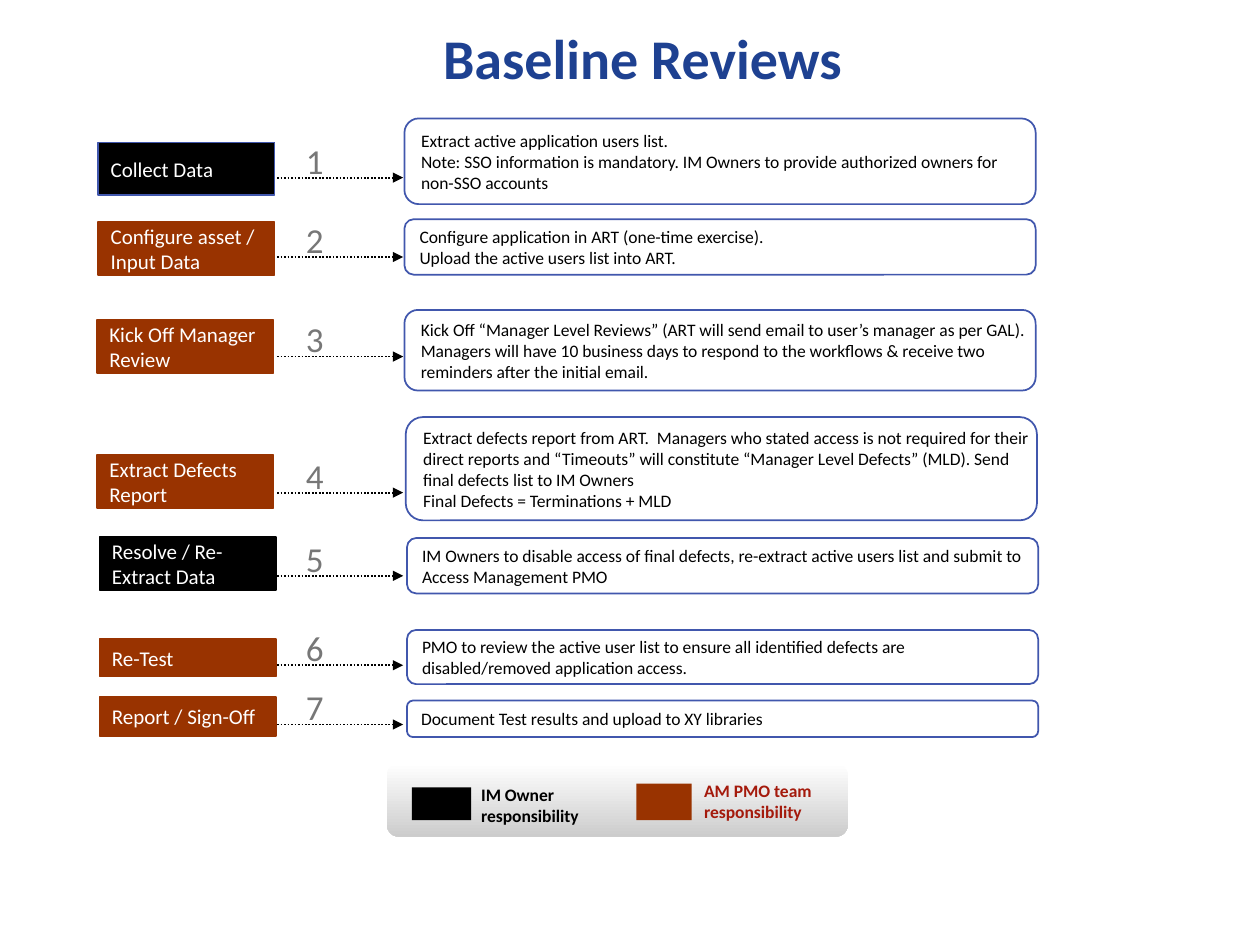
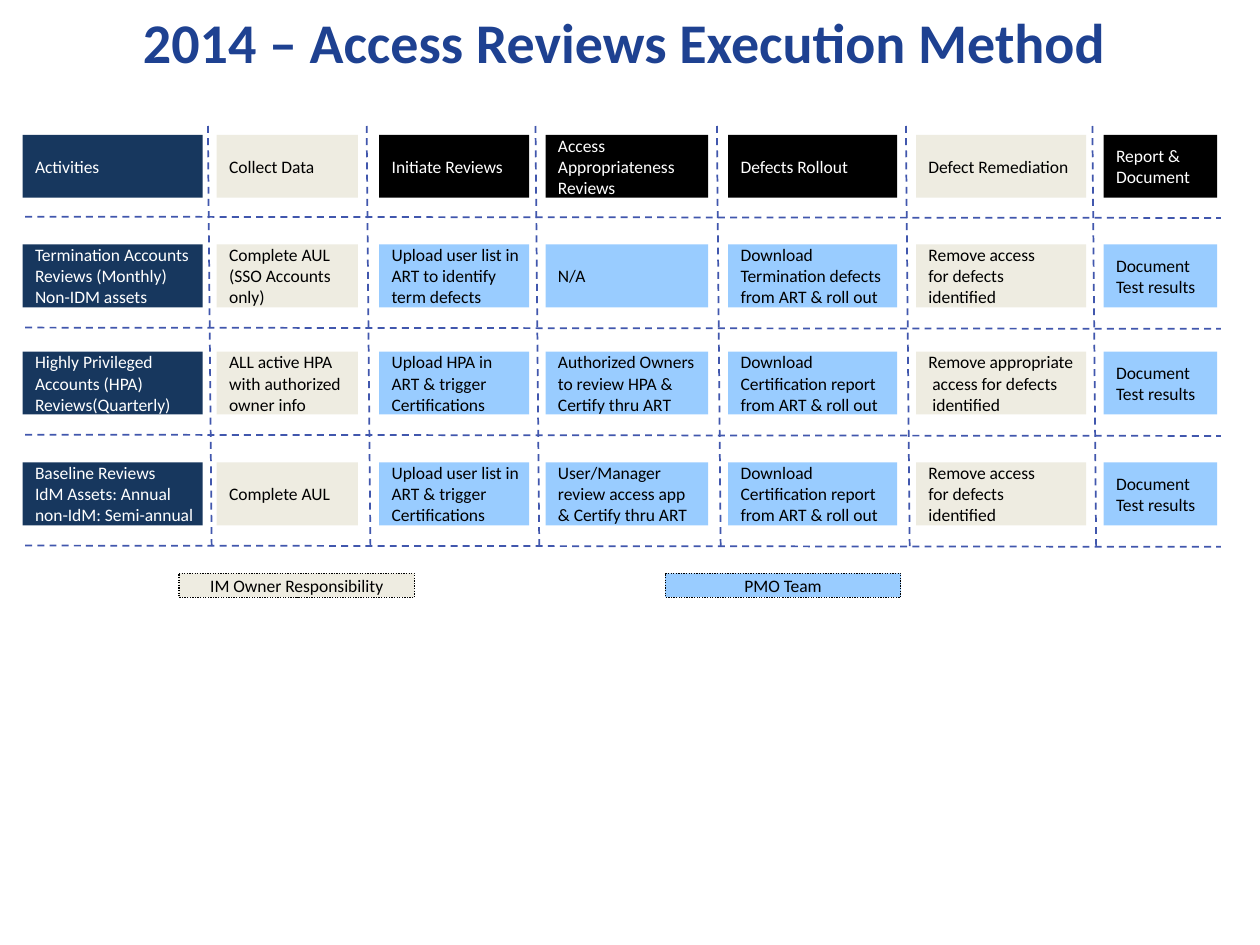
"""Build the baseline reviews flow and the access reviews matrix."""
from dataclasses import dataclass

from pptx import Presentation
from pptx.dml.color import RGBColor
from pptx.enum.dml import MSO_LINE as Dash
from pptx.enum.shapes import MSO_CONNECTOR, MSO_SHAPE as Shape
from pptx.enum.text import MSO_ANCHOR as Anchor, MSO_AUTO_SIZE, PP_ALIGN as Align
from pptx.oxml.ns import qn
from pptx.util import Inches, Pt
from lxml.etree import SubElement

FONT = "Calibri"
BLACK, WHITE, GREY = "000000", "FFFFFF", "777777"
TITLE_BLUE, LINE_BLUE, NAVY, SKY = "1E4191", "4157AD", "17375E", "99CCFF"
RUST, RED, BEIGE = "993300", "A41A0C", "EEECE1"
TIGHT = (0.1, 0, 0, 0)
ROOMY = (0.1, 0.05, 0.1, 0.05)


@dataclass
class Step:
    """One row of the review flow: label, arrow, number and note."""
    label: str
    fill: str
    left: float
    top: float
    height: float
    arrow_y: float
    note_left: float
    note_top: float
    note_height: float
    notes: list[str]
    border: str = ""


@dataclass
class Column:
    """One column of the review matrix, header first."""
    left: float
    width: float
    head_fill: str
    body_fill: str
    cells: list[str]


STEPS = [
    Step("Collect Data", BLACK, 0.78, 1.13, 0.42, 1.41, 3.21, 0.94, 0.68,
         ["Extract active application users list.",
          "Note: SSO information is mandatory. IM Owners to provide authorized "
          "owners for non-SSO accounts"], LINE_BLUE),
    Step("Configure asset / Input Data", RUST, 0.78, 1.76, 0.42, 2.04, 3.21, 1.74, 0.44,
         ["Configure application in ART (one-time exercise).",
          "Upload the active users list into ART."]),
    Step("Kick Off Manager Review", RUST, 0.77, 2.54, 0.42, 2.83, 3.21, 2.46, 0.64,
         ["Kick Off “Manager Level Reviews” (ART will send email to user’s manager "
          "as per GAL).  Managers will have 10 business days to respond to the "
          "workflows & receive two reminders after the initial email."]),
    Step("Extract Defects Report", RUST, 0.77, 3.61, 0.42, 3.91, 3.22, 3.31, 0.82,
         ["Extract defects report from ART.  Managers who stated access is not "
          "required for their direct reports and “Timeouts” will constitute "
          "“Manager Level Defects” (MLD). Send final defects list to IM Owners",
          "Final Defects = Terminations + MLD"]),
    Step("Resolve / Re-Extract Data", BLACK, 0.79, 4.26, 0.42, 4.57, 3.23, 4.27, 0.44,
         ["IM Owners to disable access of final defects, re-extract active users "
          "list and submit to Access Management PMO"]),
    Step("Re-Test", RUST, 0.79, 5.07, 0.3, 5.28, 3.23, 5, 0.43,
         ["PMO to review the active user list to ensure all identified defects "
          "are disabled/removed application access."]),
    Step("Report / Sign-Off", RUST, 0.79, 5.53, 0.31, 5.75, 3.23, 5.56, 0.29,
         ["Document Test results and upload to XY libraries"]),
]

CERTIFICATION = "Download\nCertification report\nfrom ART & roll out"
REMOVE = "Remove access\nfor defects\nidentified"
RESULTS = "Document\nTest results"
COLUMNS = [
    Column(0.18, 1.43, NAVY, NAVY, [
        "Activities",
        "Termination Accounts\nReviews (Monthly)\nNon-IDM assets",
        "Highly Privileged\nAccounts (HPA)\nReviews(Quarterly)",
        "Baseline Reviews\nIdM Assets: Annual\nnon-IdM: Semi-annual"]),
    Column(1.72, 1.12, BEIGE, BEIGE, [
        "Collect Data",
        "Complete AUL\n(SSO Accounts\nonly)",
        "ALL active HPA\nwith authorized\nowner info",
        "Complete AUL"]),
    Column(3.01, 1.19, BLACK, SKY, [
        "Initiate Reviews",
        "Upload user list in\nART to identify\nterm defects",
        "Upload HPA in\nART & trigger\nCertifications",
        "Upload user list in\nART & trigger\nCertifications"]),
    Column(4.33, 1.29, BLACK, SKY, [
        "Access\nAppropriateness\nReviews",
        "N/A",
        "Authorized Owners\nto review HPA &\nCertify thru ART",
        "User/Manager\nreview access app\n& Certify thru ART"]),
    Column(5.78, 1.34, BLACK, SKY, [
        "Defects Rollout",
        "Download\nTermination defects\nfrom ART & roll out",
        CERTIFICATION, CERTIFICATION]),
    Column(7.27, 1.35, BEIGE, BEIGE, [
        "Defect Remediation", REMOVE,
        "Remove appropriate\n access for defects\n identified", REMOVE]),
    Column(8.76, 0.9, BLACK, SKY, ["Report &\nDocument", RESULTS, RESULTS, RESULTS]),
]
ROW_TOPS = [1.07, 1.94, 2.79, 3.67]
ROW_LINES = [1.72, 2.6, 3.45, 4.33]
COLUMN_LINES = [1.65, 2.91, 4.25, 5.69, 7.19, 8.67]


def rgb(color: str) -> RGBColor:
    """Turn a hex string into a colour."""
    return RGBColor.from_string(color)


def put_text(sp, paragraphs: list[str], size: float, color: str, bold: bool = False,
             align=Align.LEFT, anchor=Anchor.MIDDLE, insets=TIGHT, wrap: bool = True) -> None:
    """Fill a shape with evenly formatted paragraphs."""
    tf = sp.text_frame
    tf.word_wrap, tf.auto_size, tf.vertical_anchor = wrap, MSO_AUTO_SIZE.NONE, anchor
    tf.margin_left, tf.margin_top, tf.margin_right, tf.margin_bottom = map(Inches, insets)
    for i, text in enumerate(paragraphs):
        p = tf.add_paragraph() if i else tf.paragraphs[0]
        p.text, p.alignment = text, align
        p.font.name, p.font.size, p.font.bold = FONT, Pt(size), bold
        p.font.color.rgb = rgb(color)


def add_box(s, kind, left: float, top: float, width: float, height: float,
            fill: str = "", line: str = "", weight: float = 1):
    """Add a flat preset shape with optional fill and outline."""
    sp = s.shapes.add_shape(kind, Inches(left), Inches(top), Inches(width), Inches(height))
    sp.shadow.inherit = False
    if fill:
        sp.fill.solid()
        sp.fill.fore_color.rgb = rgb(fill)
    else:
        sp.fill.background()
    if line:
        sp.line.color.rgb = rgb(line)
        sp.line.width = Pt(weight)
    else:
        sp.line.fill.background()
    return sp


def add_label(s, text: str, left: float, top: float, width: float, height: float,
              size: float, color: str, **style) -> None:
    """Add a text box."""
    sp = s.shapes.add_textbox(Inches(left), Inches(top), Inches(width), Inches(height))
    put_text(sp, [text], size, color, **style)


def add_line(s, x1: float, y1: float, x2: float, y2: float,
             color: str, dash, arrow: bool = False) -> None:
    """Add a dashed straight line, with an arrowhead if asked."""
    c = s.shapes.add_connector(MSO_CONNECTOR.STRAIGHT, Inches(x1), Inches(y1),
                               Inches(x2), Inches(y2))
    c.line.color.rgb, c.line.width, c.line.dash_style = rgb(color), Pt(1), dash
    sp_pr = c._element.spPr
    if arrow:
        SubElement(sp_pr.find(qn("a:ln")), qn("a:tailEnd"), type="triangle")
    SubElement(sp_pr, qn("a:effectLst"))


def new_slide(prs, title: str, left: float, top: float, width: float, height: float):
    """Add a title-only slide with the shared title style."""
    s = prs.slides.add_slide(prs.slide_layouts[5])
    sp = s.shapes.title
    sp.left, sp.top, sp.width, sp.height = map(Inches, (left, top, width, height))
    put_text(sp, [title], 32, TITLE_BLUE, bold=True, align=Align.CENTER,
             anchor=Anchor.TOP, insets=(0, 0, 0, 0))
    sp.text_frame.paragraphs[0].line_spacing = 0.9
    return s


def add_step(s, number: int, step: Step) -> None:
    """Draw one row of the flow."""
    label = add_box(s, Shape.FLOWCHART_PROCESS, step.left, step.top, 1.4, step.height,
                    step.fill, step.border or step.fill)
    put_text(label, [step.label], 12, WHITE)
    note = add_box(s, Shape.ROUNDED_RECTANGLE, step.note_left, step.note_top, 5.01,
                   step.note_height, line=LINE_BLUE)
    put_text(note, step.notes, 10, BLACK)
    add_line(s, 2.2, step.arrow_y, 3.2, step.arrow_y, BLACK, Dash.ROUND_DOT, arrow=True)
    add_label(s, str(number), 2.33, step.arrow_y - 0.33, 0.49, 0.38, 20, GREY, wrap=False)


def add_flow_legend(s) -> None:
    """Draw the gradient legend panel under the flow."""
    panel = add_box(s, Shape.FLOWCHART_ALTERNATE_PROCESS, 3.07, 6.06, 3.66, 0.58)
    panel.fill.gradient()
    panel.fill.gradient_angle = 270
    for stop, color in zip(panel.fill.gradient_stops, (WHITE, "CCCCCC")):
        stop.color.rgb = rgb(color)
    add_box(s, Shape.RECTANGLE, 3.27, 6.25, 0.47, 0.26, BLACK)
    add_box(s, Shape.RECTANGLE, 5.05, 6.22, 0.44, 0.29, RUST)
    style = dict(bold=True, anchor=Anchor.TOP, insets=ROOMY)
    add_label(s, "IM Owner responsibility", 3.72, 6.17, 1.25, 0.44, 10, BLACK, **style)
    add_label(s, "AM PMO team responsibility", 5.49, 6.14, 1.29, 0.42, 10, RED, **style)


def add_column(s, column: Column) -> None:
    """Draw the header and cells of one matrix column."""
    for row, (top, text) in enumerate(zip(ROW_TOPS, column.cells)):
        fill = column.body_fill if row else column.head_fill
        cell = add_box(s, Shape.RECTANGLE, column.left, top, column.width, 0.5, fill)
        put_text(cell, [text], 10, WHITE if fill in (NAVY, BLACK) else BLACK, wrap=False)


def build_flow(prs) -> None:
    """Build the baseline reviews slide."""
    s = new_slide(prs, "Baseline Reviews", 0.38, 0.25, 9.44, 0.58)
    for number, step in enumerate(STEPS, 1):
        add_step(s, number, step)
    add_flow_legend(s)


def build_matrix(prs) -> None:
    """Build the execution method slide."""
    s = new_slide(prs, "2014 – Access Reviews Execution Method", 0.33, 0.12, 9.25, 0.47)
    for column in COLUMNS:
        add_column(s, column)
    for y in ROW_LINES:
        add_line(s, 0.2, y, 9.69, y + 0.01, LINE_BLUE, Dash.DASH)
    for x in COLUMN_LINES:
        add_line(s, x, 1, x + 0.03, 4.35, LINE_BLUE, Dash.DASH)
    for left, text, fill in ((1.42, "IM Owner Responsibility", BEIGE), (5.28, "PMO Team", SKY)):
        key = add_box(s, Shape.RECTANGLE, left, 4.55, 1.87, 0.19, fill, BLACK, 0.75)
        key.line.dash_style = Dash.ROUND_DOT
        put_text(key, [text], 10, BLACK, align=Align.CENTER, insets=ROOMY)


def main() -> None:
    """Build and save the presentation."""
    prs = Presentation()
    prs.slide_width, prs.slide_height = Inches(10), Inches(7.5)
    build_flow(prs)
    build_matrix(prs)
    prs.save("out.pptx")


main()
